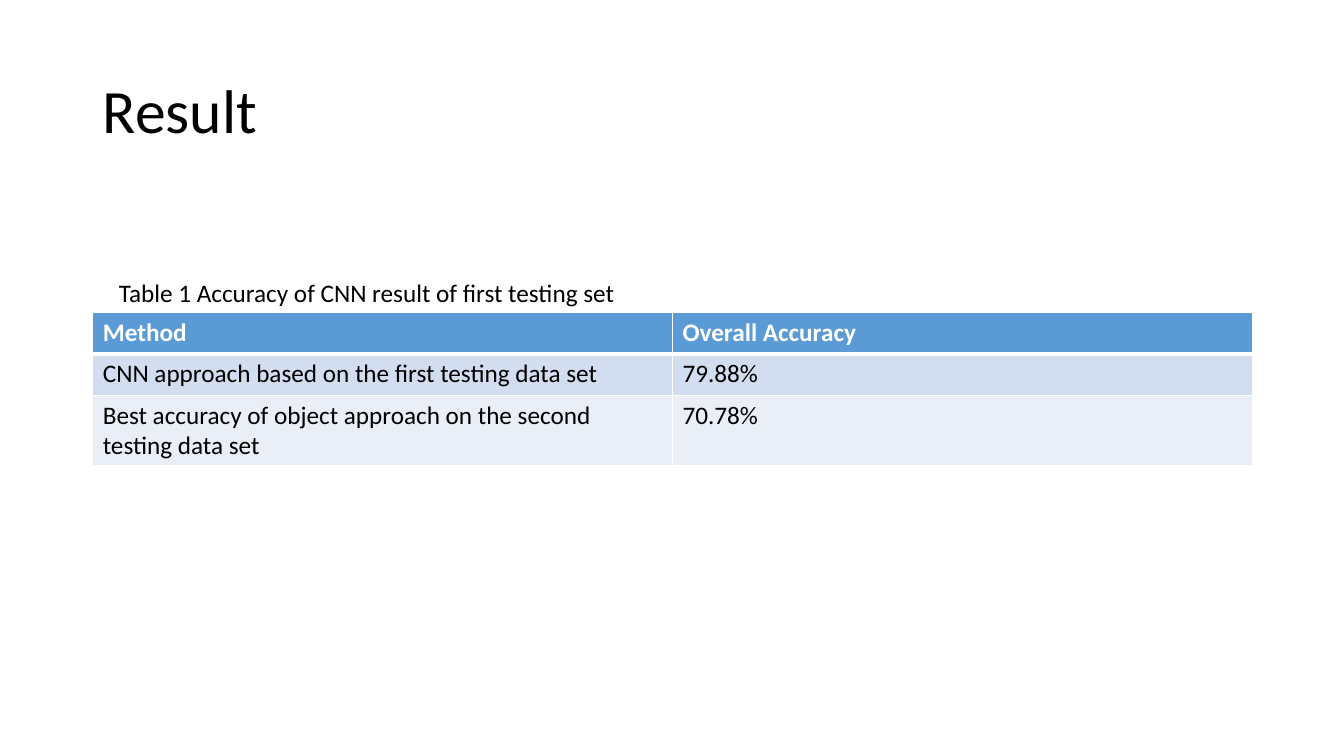
from dataclasses import dataclass

from lxml import etree
from pptx import Presentation
from pptx import util as u
from pptx.dml.color import RGBColor
from pptx.enum import text
from pptx.oxml import ns

COLORS = {"black": "000000", "white": "FFFFFF", "header": "5B9BD5",
          "band_dark": "D2DEEF", "band_light": "EAEFF7"}
FONT = "Calibri"


@dataclass
class Label:
    words: str
    left: float
    top: float
    width: float
    height: float
    size: float
    frame: dict
    para: dict


@dataclass
class Row:
    values: tuple[str, ...]
    height: float
    fill: str
    color: str = "black"
    bold: bool = False
    line_above: float = 1
    line_below: float = 1


LABELS = [
    Label("Result", 0.92, 0.4, 11.5, 1.45, 44,
          {"word_wrap": True, "vertical_anchor": text.MSO_ANCHOR.MIDDLE},
          {"line_spacing": 0.9}),
    Label("Table 1 Accuracy of CNN result of first testing set",
          1.08, 2.7, 5.23, 0.4, 18,
          {"word_wrap": False, "auto_size": text.MSO_AUTO_SIZE.SHAPE_TO_FIT_TEXT}, {}),
]
ROWS = [
    Row(("Method", "Overall Accuracy"), 0.41, "header", "white", True, line_below=3),
    Row(("CNN approach based on the first testing data set", "79.88%"),
        0.41, "band_dark", line_above=3),
    Row(("Best accuracy of object approach on the second testing data set", "70.78%"),
        0.7, "band_light"),
]
TABLE_LEFT, TABLE_TOP, TABLE_WIDTH = 0.92, 3.1, 11.5


def set_attrs(obj, values: dict) -> None:
    for name, value in values.items():
        setattr(obj, name, value)


def write(p, words: str, size: float, color: str, bold: bool = False) -> None:
    r = p.add_run()
    r.text = words
    set_attrs(r.font, {"name": FONT, "size": u.Pt(size), "bold": bold})
    r.font.color.rgb = RGBColor.from_string(COLORS[color])


def add_label(slide, label: Label) -> None:
    sp = slide.shapes.add_textbox(*map(u.Inches, (label.left, label.top,
                                                  label.width, label.height)))
    tf = sp.text_frame
    p = tf.paragraphs[0]
    set_attrs(tf, label.frame)
    set_attrs(p, label.para)
    write(p, label.words, label.size, "black")


def add_border(cell, side: str, points: float) -> None:
    ln = etree.SubElement(cell._tc.get_or_add_tcPr(), ns.qn(f"a:ln{side}"),
                          w=str(u.Pt(points)))
    fill = etree.SubElement(ln, ns.qn("a:solidFill"))
    etree.SubElement(fill, ns.qn("a:srgbClr"), val=COLORS["white"])


def add_accuracy_table(slide, rows: list[Row]) -> None:
    columns = len(rows[0].values)
    table = slide.shapes.add_table(
        len(rows), columns, u.Inches(TABLE_LEFT), u.Inches(TABLE_TOP),
        u.Inches(TABLE_WIDTH), u.Inches(sum(row.height for row in rows))).table
    for column in table.columns:
        column.width = u.Inches(TABLE_WIDTH / columns)
    for i, row in enumerate(rows):
        table.rows[i].height = u.Inches(row.height)
        borders = {"L": 1, "R": 1, "T": row.line_above, "B": row.line_below}
        for j, value in enumerate(row.values):
            cell = table.cell(i, j)
            for side, points in borders.items():
                add_border(cell, side, points)
            cell.fill.solid()
            cell.fill.fore_color.rgb = RGBColor.from_string(COLORS[row.fill])
            write(cell.text_frame.paragraphs[0], value, 18, row.color, row.bold)


def main() -> None:
    prs = Presentation()
    set_attrs(prs, {"slide_width": u.Inches(13.33), "slide_height": u.Inches(7.5)})
    slide = prs.slides.add_slide(prs.slide_layouts[6])
    title, caption = LABELS
    add_label(slide, title)
    add_accuracy_table(slide, ROWS)
    add_label(slide, caption)
    prs.save("out.pptx")


if __name__ == "__main__":
    main()
